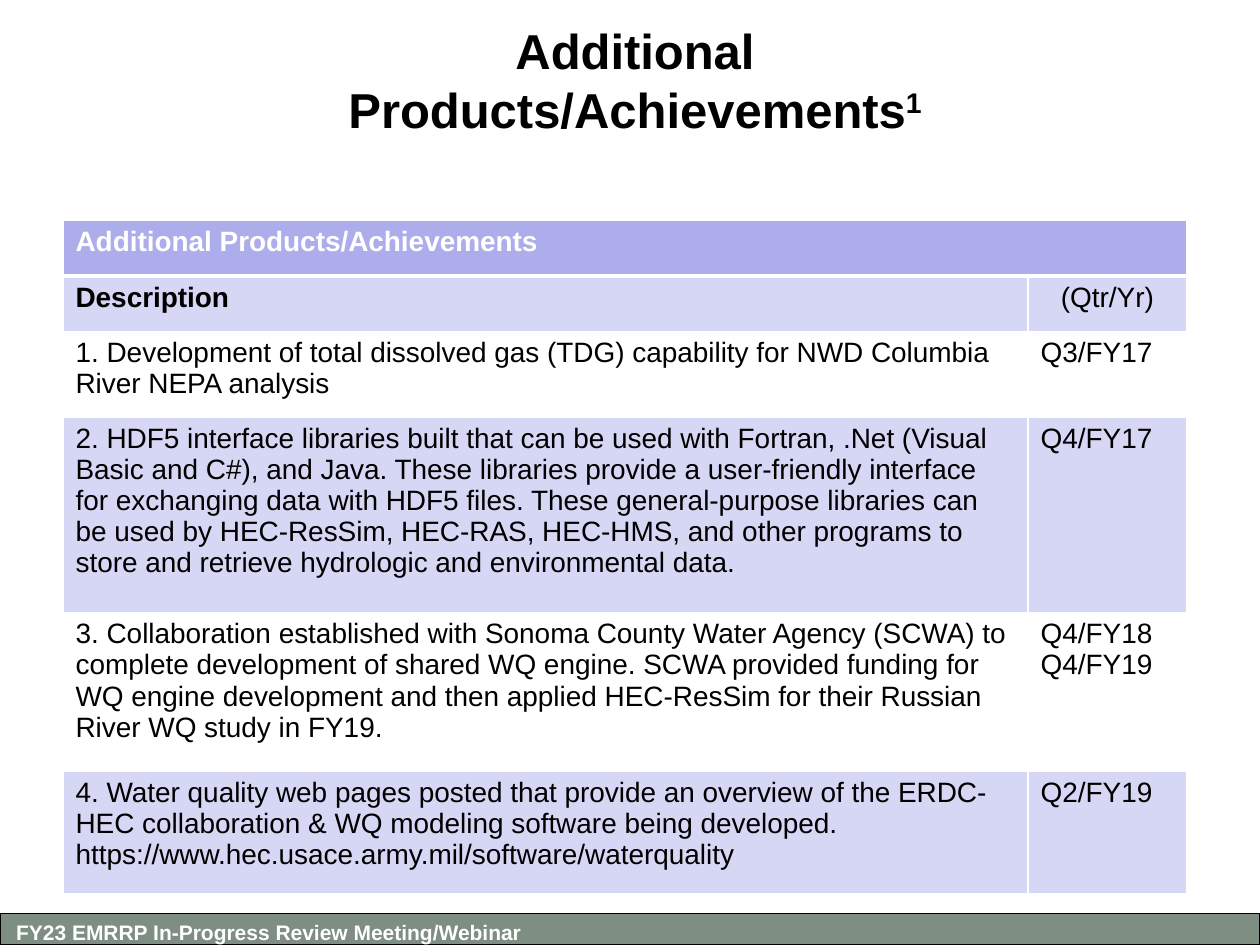
from dataclasses import dataclass
from typing import NamedTuple

from lxml.etree import SubElement
from pptx import Presentation
from pptx.dml.color import RGBColor
from pptx.enum.shapes import MSO_SHAPE
from pptx.enum.text import MSO_ANCHOR, MSO_AUTO_SIZE, PP_ALIGN
from pptx.oxml.ns import qn
from pptx.util import Inches, Pt

SLIDE_WIDTH, SLIDE_HEIGHT = Inches(10), Inches(7.5)


@dataclass(frozen=True)
class Theme:
    font: str = "Arial"
    black: str = "000000"
    white: str = "FFFFFF"
    header: str = "ADADEB"
    band: str = "D6D6F5"
    footer: str = "7E8E83"
    title_size: int = 28
    table_size: int = 16
    footer_size: int = 12
    thin: float = 1
    thick: float = 3


THEME = Theme()


class Region(NamedTuple):
    """Left, top, width and height as percentages of the slide."""
    left: float
    top: float
    width: float
    height: float

    def box(self) -> tuple[int, int, int, int]:
        return (across(self.left), down(self.top),
                across(self.width), down(self.height))


class Row(NamedTuple):
    height: float  # percentage of the slide height
    description: str
    quarters: tuple[str, ...]


TITLE = Region(18.3, 4.4, 64.2, 11.33)
TABLE = Region(5, 23.33, 89.2, 71.2)
FOOTER_BAR = Region(0, 96.67, 100, 3.33)
FOOTER_TEXT = Region(0.3, 96.67, 43, 4)
COLUMN_WIDTHS = (76.6, 12.6)
HEADING_HEIGHT = 5.87

ROWS = (
    Row(9.07, "1. Development of total dissolved gas (TDG) capability for NWD "
        "Columbia River NEPA analysis", ("Q3/FY17",)),
    Row(20.67, "2. HDF5 interface libraries built that can be used with Fortran, "
        ".Net (Visual Basic and C#), and Java. These libraries provide a "
        "user-friendly interface for exchanging data with HDF5 files. These "
        "general-purpose libraries can be used by HEC-ResSim, HEC-RAS, HEC-HMS, "
        "and other programs to store and retrieve hydrologic and environmental "
        "data.", ("Q4/FY17",)),
    Row(16.8, "3. Collaboration established with Sonoma County Water Agency (SCWA) "
        "to complete development of shared WQ engine. SCWA provided funding for "
        "WQ engine development and then applied HEC-ResSim for their Russian "
        "River WQ study in FY19.", ("Q4/FY18", "Q4/FY19")),
    Row(12.93, "4. Water quality web pages posted that provide an overview of the "
        "ERDC-HEC collaboration & WQ modeling software being developed. "
        "https://www.hec.usace.army.mil/software/waterquality", ("Q2/FY19",)),
)


def across(percent: float) -> int:
    return round(SLIDE_WIDTH * percent / 100)


def down(percent: float) -> int:
    return round(SLIDE_HEIGHT * percent / 100)


def add_run(paragraph, text: str, size: float, color: str = THEME.black,
            bold: bool = False):
    run = paragraph.add_run()
    run.text = text
    run.font.name = THEME.font
    run.font.size = Pt(size)
    run.font.bold = bold
    run.font.color.rgb = RGBColor.from_string(color)
    return run


def add_title(slide) -> None:
    frame = slide.shapes.add_textbox(*TITLE.box()).text_frame
    frame.word_wrap = True
    frame.vertical_anchor = MSO_ANCHOR.MIDDLE
    frame.margin_bottom = Inches(0.3)
    paragraph = frame.paragraphs[0]
    paragraph.alignment = PP_ALIGN.CENTER
    add_run(paragraph, "Additional Products/Achievements", THEME.title_size, bold=True)
    footnote = add_run(paragraph, "1", THEME.title_size, bold=True)
    footnote.font._element.set("baseline", "30000")


def add_footer(slide) -> None:
    bar = slide.shapes.add_shape(MSO_SHAPE.RECTANGLE, *FOOTER_BAR.box())
    bar.shadow.inherit = False
    bar.fill.solid()
    bar.fill.fore_color.rgb = RGBColor.from_string(THEME.footer)
    bar.line.color.rgb = RGBColor.from_string(THEME.black)
    bar.line.width = Pt(0.75)
    frame = slide.shapes.add_textbox(*FOOTER_TEXT.box()).text_frame
    frame.word_wrap = False
    frame.auto_size = MSO_AUTO_SIZE.SHAPE_TO_FIT_TEXT
    add_run(frame.paragraphs[0], "FY23 EMRRP In-Progress Review Meeting/Webinar",
            THEME.footer_size, THEME.white, bold=True)


def style_cell(cell, fill: str, bottom: float = THEME.thin,
               top: float = THEME.thin) -> None:
    """Give a cell its fill and white borders, in points."""
    properties = cell._tc.get_or_add_tcPr()
    widths = {"a:lnL": THEME.thin, "a:lnR": THEME.thin, "a:lnT": top, "a:lnB": bottom}
    for tag, width in widths.items():
        border = SubElement(properties, qn(tag), w=str(Pt(width)))
        SubElement(SubElement(border, qn("a:solidFill")), qn("a:srgbClr"),
                   val=THEME.white)
    cell.fill.solid()
    cell.fill.fore_color.rgb = RGBColor.from_string(fill)


def write_cell(cell, *lines: str, color: str = THEME.black, bold: bool = False,
               alignment: PP_ALIGN = PP_ALIGN.LEFT) -> None:
    frame = cell.text_frame
    for index, line in enumerate(lines):
        paragraph = frame.add_paragraph() if index else frame.paragraphs[0]
        paragraph.alignment = alignment
        add_run(paragraph, line, THEME.table_size, color, bold)


def add_achievements(slide) -> None:
    heights = [HEADING_HEIGHT] * 2 + [row.height for row in ROWS]
    table = slide.shapes.add_table(len(heights), len(COLUMN_WIDTHS), *TABLE.box()).table
    table.first_row = table.horz_banding = False
    for column, width in zip(table.columns, COLUMN_WIDTHS):
        column.width = across(width)
    for index, (table_row, height) in enumerate(zip(table.rows, heights)):
        table_row.height = down(height)
        banded = THEME.band if index % 2 else THEME.white
        for cell in table_row.cells:
            style_cell(cell, banded if index else THEME.header,
                       bottom=THEME.thin if index else THEME.thick,
                       top=THEME.thick if index == 1 else THEME.thin)

    table.cell(0, 0).merge(table.cell(0, 1))
    write_cell(table.cell(0, 0), "Additional Products/Achievements",
               color=THEME.white, bold=True)
    write_cell(table.cell(1, 0), "Description", bold=True)
    write_cell(table.cell(1, 1), "(Qtr/Yr)", alignment=PP_ALIGN.CENTER)
    for index, row in enumerate(ROWS, start=2):
        write_cell(table.cell(index, 0), row.description)
        write_cell(table.cell(index, 1), *row.quarters)


def main() -> None:
    presentation = Presentation()
    presentation.slide_width, presentation.slide_height = SLIDE_WIDTH, SLIDE_HEIGHT
    slide = presentation.slides.add_slide(presentation.slide_layouts[6])
    add_footer(slide)
    add_title(slide)
    add_achievements(slide)
    presentation.save("out.pptx")


if __name__ == "__main__":
    main()
